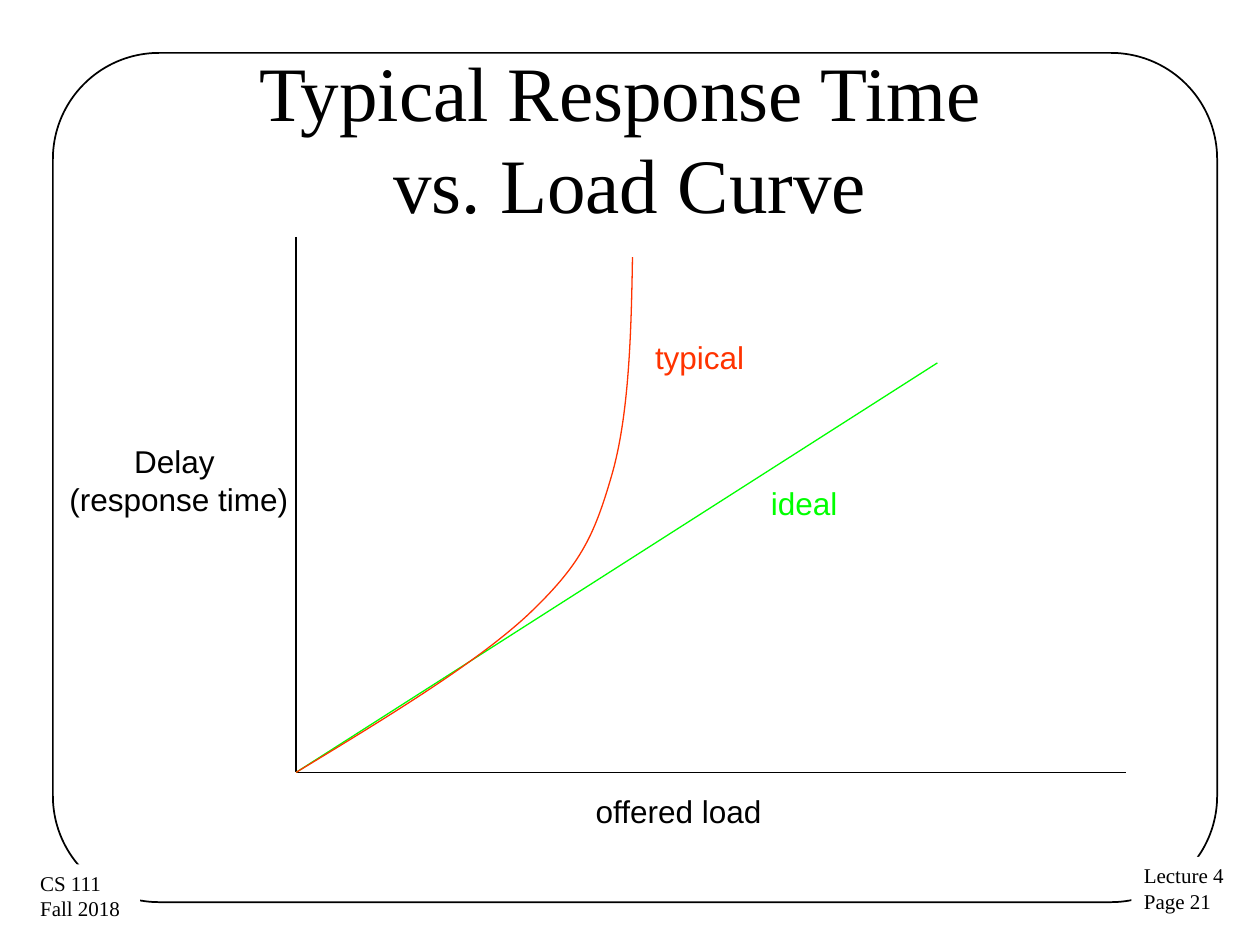
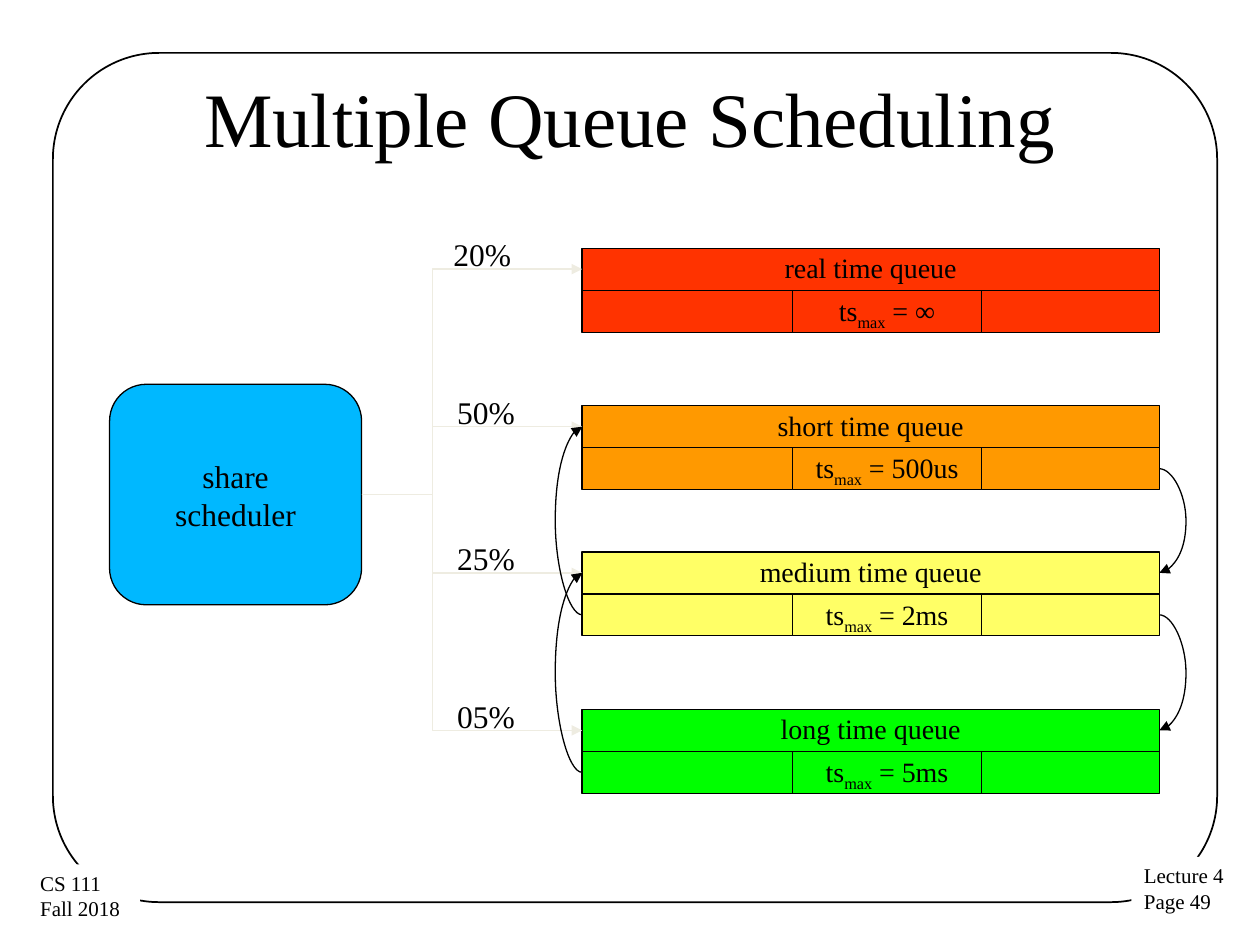
import pptx
import pptx.util
from pptx.dml.color import RGBColor
from pptx.enum.shapes import MSO_CONNECTOR, MSO_SHAPE
from pptx.enum.text import MSO_ANCHOR, MSO_AUTO_SIZE, PP_ALIGN
from pptx.oxml.ns import qn
from pptx.util import Inches
from lxml import etree

BLACK = RGBColor(0x00, 0x00, 0x00)
WHITE = RGBColor(0xFF, 0xFF, 0xFF)
RED = RGBColor(0xFF, 0x33, 0x00)
ORANGE = RGBColor(0xFF, 0x99, 0x00)
YELLOW = RGBColor(0xFF, 0xFF, 0x66)
GREEN = RGBColor(0x00, 0xFF, 0x00)
BLUE = RGBColor(0x00, 0xB8, 0xFF)
PALE = RGBColor(0xEE, 0xEC, 0xE1)
SERIF, SANS = "Times New Roman", "Arial"
WIDTH, HEIGHT = 10, 7.5
TOP, LEFT, BOTTOM, RIGHT = range(4)  # connection sites of a box


def write(sp, text, size, font=SERIF, color=BLACK, align=PP_ALIGN.LEFT,
          anchor=MSO_ANCHOR.TOP, wrap=False):
    """Set the text of a shape and format all of its runs."""
    tf = sp.text_frame
    tf.text = text
    tf.word_wrap = wrap
    tf.vertical_anchor = anchor
    for p in tf.paragraphs:
        p.alignment = align
        for r in p.runs:
            format_run(r, size, font, color)


def format_run(r, size, font=SERIF, color=BLACK):
    """Give a run its size, font and colour."""
    r.font.size = pptx.util.Pt(size)
    r.font.name = font
    r.font.color.rgb = color


def add_label(s, x, y, w, h, text, size=18, **style):
    """Add a text box that grows with its text."""
    sp = s.shapes.add_textbox(Inches(x), Inches(y), Inches(w), Inches(h))
    write(sp, text, size, **style)
    sp.text_frame.auto_size = MSO_AUTO_SIZE.SHAPE_TO_FIT_TEXT
    return sp


def add_box(s, kind, x, y, w, h, fill=None, weight=0.75):
    """Add an outlined preset shape, filled or hollow."""
    sp = s.shapes.add_shape(kind, Inches(x), Inches(y), Inches(w), Inches(h))
    sp.shadow.inherit = False
    if fill is None:
        sp.fill.background()
    else:
        sp.fill.solid()
        sp.fill.fore_color.rgb = fill
    sp.line.color.rgb = BLACK
    sp.line.width = pptx.util.Pt(weight)
    return sp


def add_line(s, x1, y1, x2, y2, color=BLACK, kind=MSO_CONNECTOR.STRAIGHT):
    """Add a thin connector without a shadow."""
    c = s.shapes.add_connector(kind, Inches(x1), Inches(y1),
                               Inches(x2), Inches(y2))
    c.line.color.rgb = color
    c.line.width = pptx.util.Pt(0.75)
    etree.SubElement(c._element.spPr, qn("a:effectLst"))
    return c


def link(s, kind, start, start_site, end, end_site, bend, color=BLACK):
    """Join two boxes by an arrow whose middle lies `bend` inches from its start."""
    # Spanning the slide first keeps the connector from being flipped sideways.
    c = add_line(s, 0, 0, WIDTH, HEIGHT, color, kind)
    c.begin_connect(start, start_site)
    c.end_connect(end, end_site)
    if not c.width:
        c.width = Inches(0.0017)  # the bend is a share of the width
    geom = c._element.spPr.find(qn("a:prstGeom"))
    guides = geom.find(qn("a:avLst"))
    if guides is None:
        guides = etree.SubElement(geom, qn("a:avLst"))
    share = round(Inches(bend) / c.width * 100000)
    etree.SubElement(guides, qn("a:gd"), name="adj1", fmla=f"val {share}")
    etree.SubElement(c.line._get_or_add_ln(), qn("a:tailEnd"), type="triangle")


def add_curve(s, points, color):
    """Draw cubic curves: a start point, then three points for each curve."""
    points = [(Inches(x), Inches(y)) for x, y in points]
    builder = s.shapes.build_freeform(*points[0])
    builder.add_line_segments(points[1:], close=False)
    sp = builder.convert_to_shape()
    sp.shadow.inherit = False
    sp.fill.background()
    sp.line.color.rgb = color
    sp.line.width = pptx.util.Pt(0.75)
    segments = list(sp._element.iter(qn("a:lnTo")))
    for i in range(0, len(segments), 3):
        curve = etree.Element(qn("a:cubicBezTo"))
        segments[i].addprevious(curve)
        for segment in segments[i:i + 3]:
            curve.append(segment[0])
            segment.getparent().remove(segment)


def add_base(prs, title, title_top, page):
    """Start a slide with its frame, corner notes and title."""
    s = prs.slides.add_slide(prs.slide_layouts[6])
    frame = add_box(s, MSO_SHAPE.ROUNDED_RECTANGLE, 0.42, 0.42, 9.24, 6.74,
                    weight=1)
    frame.adjustments[0] = 0.125
    notes = [(8.98, 6.8, 0.85, f"Lecture 4\nPage {page}"),
             (0.22, 6.86, 0.89, "CS 111\nFall 2018 ")]
    for x, y, w, text in notes:
        sp = add_label(s, x, y, w, 0.51, text, 12)
        sp.fill.solid()
        sp.fill.fore_color.rgb = WHITE
    sp = s.shapes.add_textbox(Inches(0.5), Inches(title_top),
                              Inches(9), Inches(1.25))
    write(sp, title, 44, align=PP_ALIGN.CENTER, anchor=MSO_ANCHOR.MIDDLE,
          wrap=True)
    return s


def add_load_curve(s, x, y):
    """Plot delay against load, with the origin of the axes at x, y."""
    add_line(s, x, y - 4.25, x, y)
    add_line(s, x, y, x + 6.59, y)
    add_label(s, x - 1.91, y - 2.67, 1.96, 0.71, "Delay \n(response time)",
              font=SANS, align=PP_ALIGN.CENTER)
    add_line(s, x, y, x + 5.09, y - 3.25, GREEN)
    add_label(s, x + 3.67, y - 2.34, 0.79, 0.43, "ideal", font=SANS, color=GREEN)
    offsets = [(0, 0), (0.71, 0.43), (1.42, 0.86), (1.84, 1.25),
               (2.25, 1.64), (2.36, 1.86), (2.5, 2.34),
               (2.64, 2.81), (2.66, 3.45), (2.67, 4.09)]
    add_curve(s, [(x + dx, y - dy) for dx, dy in offsets], RED)
    add_label(s, x + 2.75, y - 3.5, 0.99, 0.43, "typical", font=SANS, color=RED)
    add_label(s, x + 2.28, y + 0.11, 1.67, 0.43, "offered load", font=SANS)


def add_queue(s, x, y, name, limit, fill):
    """Draw a queue: a header over three cells; return header and end cells."""
    row = 1 / 3
    header, left, middle, right = [
        add_box(s, MSO_SHAPE.RECTANGLE, x + dx, y + dy, w, row, fill)
        for dx, dy, w in [(0, 0, 4.58), (0, row, 1.67),
                          (1.67, row, 1.5), (3.17, row, 1.41)]]
    centred = dict(align=PP_ALIGN.CENTER, anchor=MSO_ANCHOR.MIDDLE)
    write(header, name, 16, **centred)
    write(middle, "ts", 16, **centred)
    p = middle.text_frame.paragraphs[0]
    for text in ("max", f" = {limit}"):
        r = p.add_run()
        r.text = text
        format_run(r, 16)
    p.runs[1].font._element.set("baseline", "-25000")
    for sp in (header, middle):
        sp.text_frame.paragraphs[0].line_spacing = 0.93
    return header, left, right


def add_scheduler(s, x, y):
    """Draw the share scheduler at x, y, its four queues and their links."""
    rows = [(-1.08, "real time queue", "∞", RED, "20%", 2.63),
            (0.17, "short time queue", "500us", ORANGE, "50%", 2.66),
            (1.33, "medium time queue", "2ms", YELLOW, "25%", 2.66),
            (2.58, "long time queue", "5ms", GREEN, "05%", 2.66)]
    queues = [add_queue(s, x + 3.75, y + dy, name, limit, fill)
              for dy, name, limit, fill, _, _ in rows]
    box = add_box(s, MSO_SHAPE.FLOWCHART_ALTERNATE_PROCESS, x, y, 2, 1.75, BLUE)
    write(box, "share\nscheduler", 18, align=PP_ALIGN.CENTER,
          anchor=MSO_ANCHOR.MIDDLE)
    for header, _, _ in queues:
        link(s, MSO_CONNECTOR.ELBOW, box, RIGHT, header, LEFT, 0.56, PALE)
    for dy, _, _, _, share, dx in rows:
        add_label(s, x + dx, y + dy - 0.15, 0.66, 0.4, share)
    timed = queues[1:]
    for upper, lower in zip(timed, timed[1:]):
        link(s, MSO_CONNECTOR.CURVE, upper[2], RIGHT, lower[0], RIGHT, 0.23)
        link(s, MSO_CONNECTOR.CURVE, lower[1], LEFT, upper[0], LEFT, -0.23)


prs = pptx.Presentation()
prs.slide_width, prs.slide_height = Inches(WIDTH), Inches(HEIGHT)
s = add_base(prs, "Typical Response Time \vvs. Load Curve", 0.46, 21)
add_load_curve(s, 2.35, 6.13)
s = add_base(prs, "Multiple Queue Scheduling", 0.3, 49)
add_scheduler(s, 0.87, 3.05)
prs.save("out.pptx")
